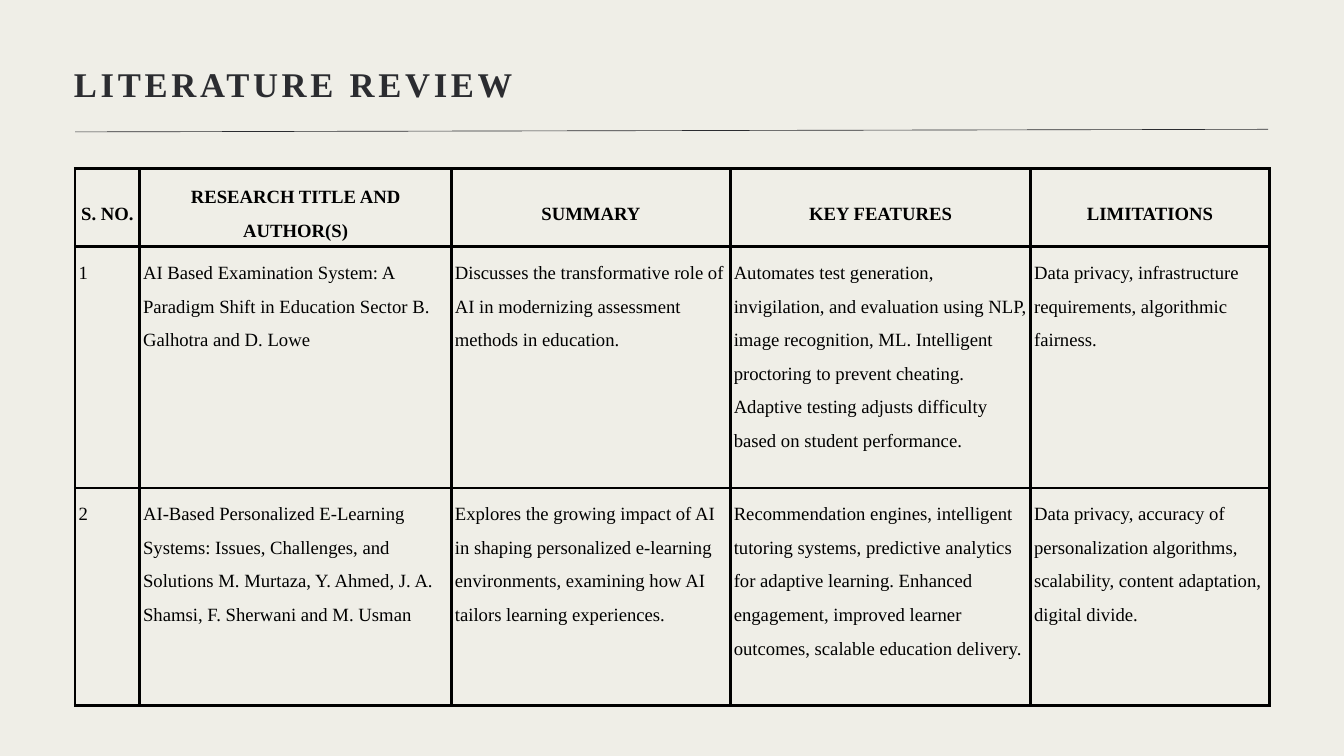
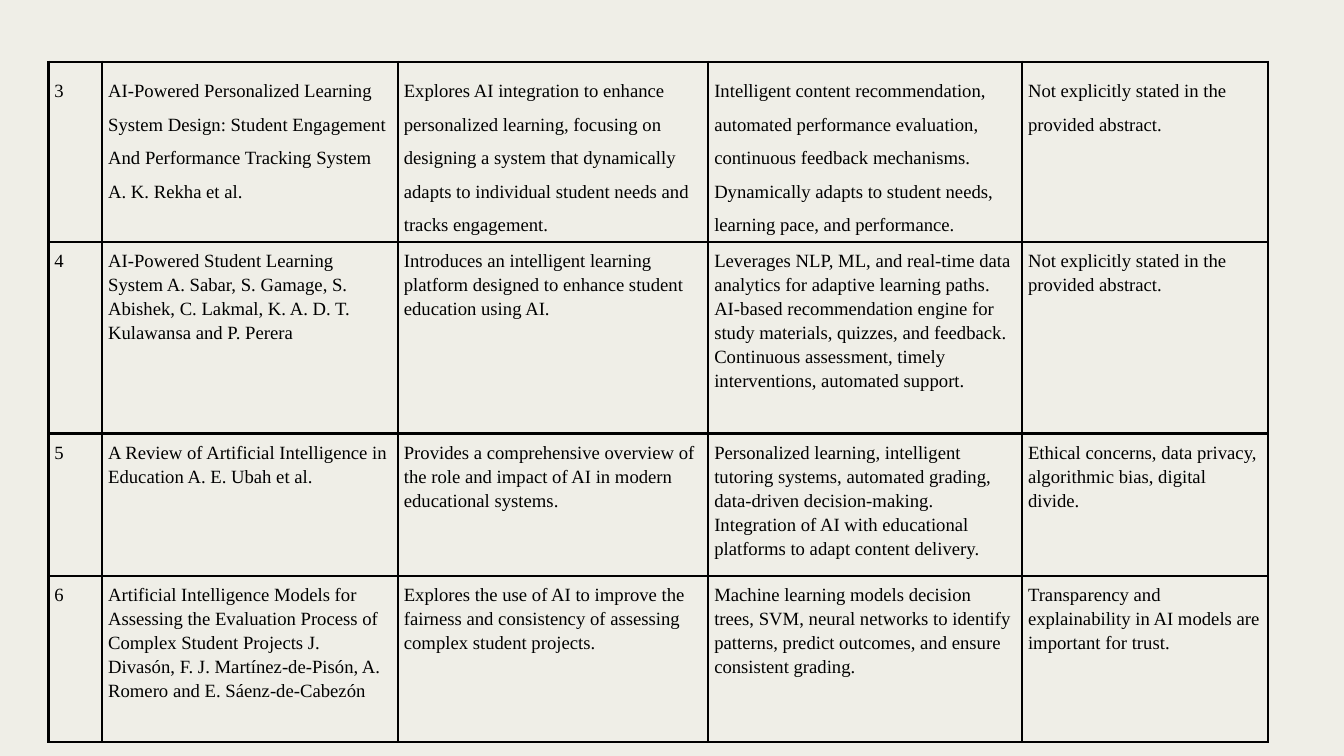
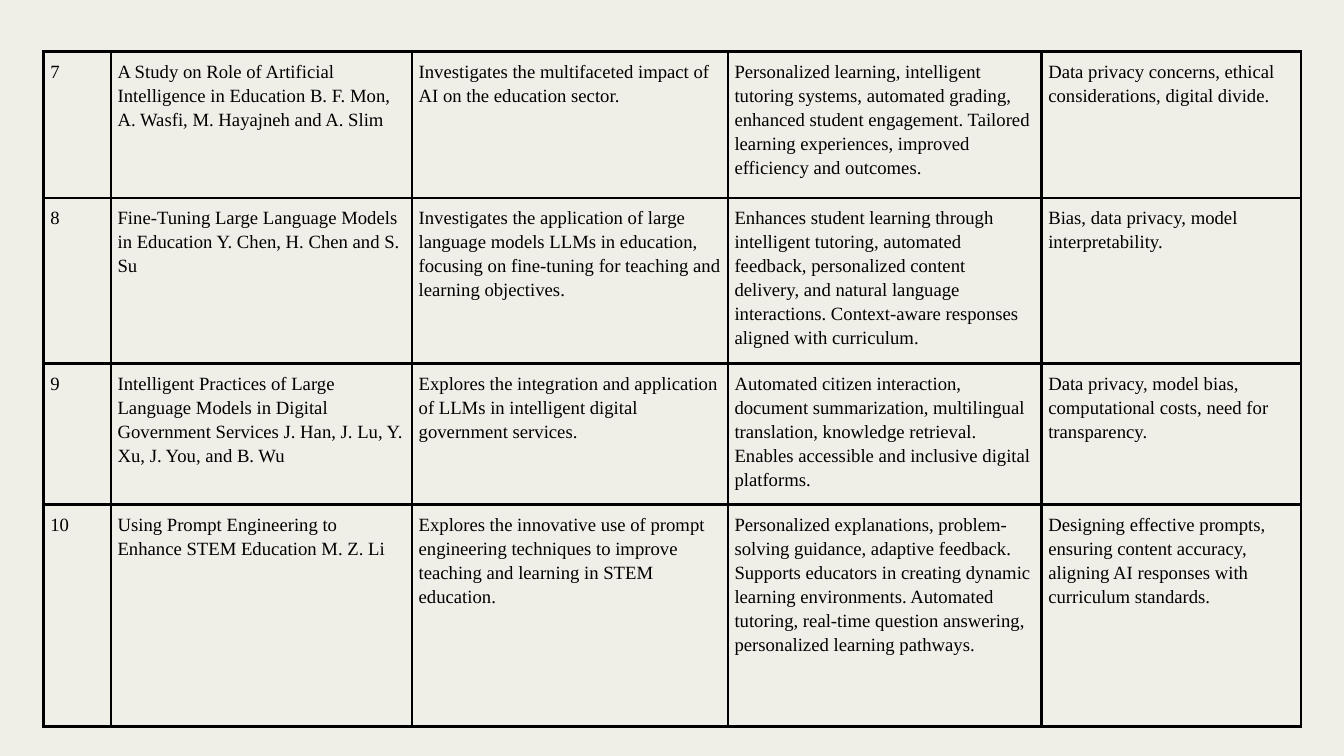
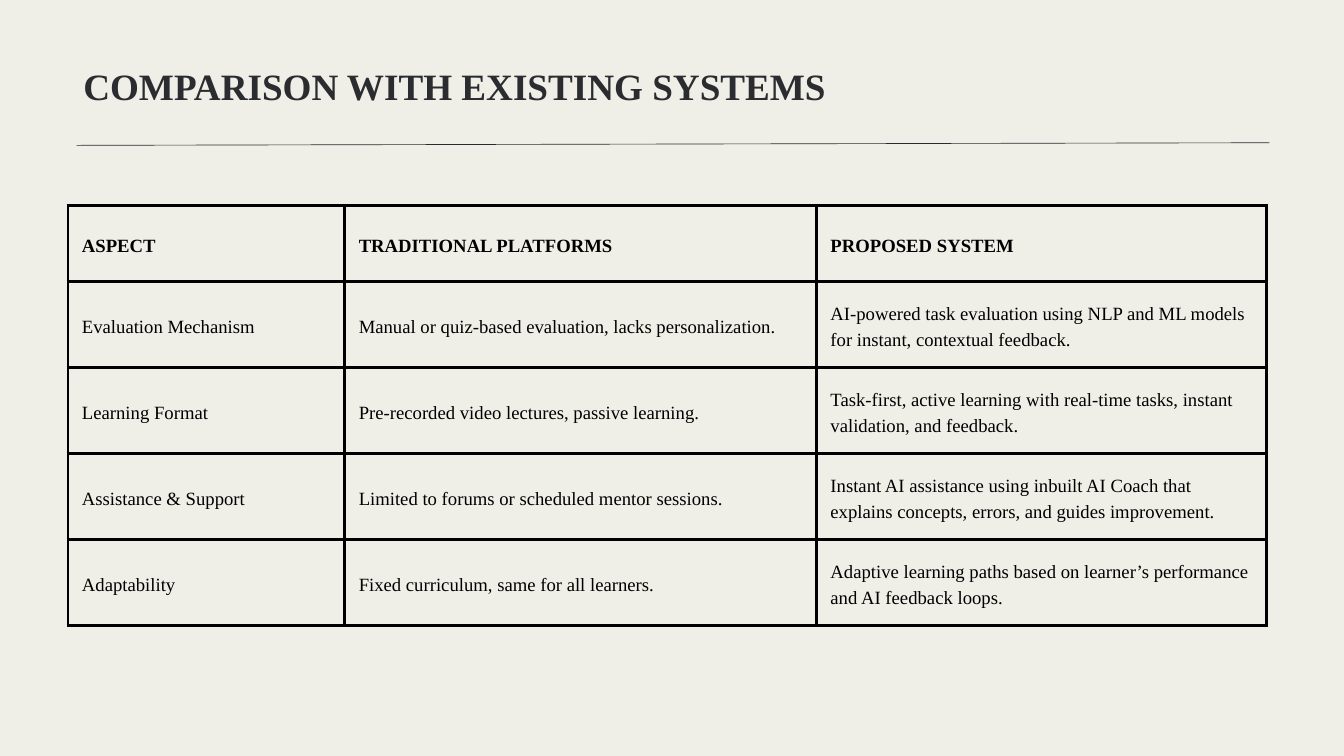
from dataclasses import dataclass
from typing import Any

from lxml.etree import SubElement
from pptx import Presentation
from pptx.dml.color import RGBColor
from pptx.enum.text import MSO_ANCHOR, PP_ALIGN
from pptx.oxml.ns import qn
from pptx.util import Pt

COLORS = {"page": "EFEEE7", "title": "2B2C30", "grid": "000000"}
FONT = "Times New Roman"
SIDES = ("margin_left", "margin_top", "margin_right", "margin_bottom")
EDGES = ("a:lnL", "a:lnR", "a:lnT", "a:lnB")


@dataclass(frozen=True)
class Title:
    text: str
    size: float
    lead: float
    height: float
    rule_x: float
    rule_y: float
    indent: float = 0
    track: int = 0
    align: PP_ALIGN = PP_ALIGN.LEFT


@dataclass(frozen=True)
class Grid:
    left: float
    top: float
    cols: tuple[float, ...]
    rows: tuple[float, ...]
    inset: float
    leads: tuple[float, ...]
    cells: tuple[tuple[str, ...], ...]
    head: bool = False
    head_align: PP_ALIGN = PP_ALIGN.LEFT
    anchor: MSO_ANCHOR = MSO_ANCHOR.TOP


@dataclass(frozen=True)
class Page:
    grid: Grid
    title: Title | None = None


REVIEW = Title("LITERATURE REVIEW", 37.1, 52, 65.5, 80.6, 138.2, track=400)
COMPARE = Title("COMPARISON WITH EXISTING SYSTEMS", 39.8, 55.7, 69.8, 82.1, 152.6,
                indent=10, align=PP_ALIGN.JUSTIFY)

PAGES = (
    Page(Grid(
        80.6, 180.7, (69.1, 334.1, 298.8, 321.8, 255.6), (83.5, 258.5, 233.3),
        3.6, (36, 36, 36),
        (
            ("S. NO.", "RESEARCH TITLE AND AUTHOR(S)", "SUMMARY", "KEY FEATURES", "LIMITATIONS"),
            ("1",
             "AI Based Examination System: A Paradigm Shift in Education Sector B. Galhotra and D. Lowe",
             "Discusses the transformative role of AI in modernizing assessment methods in education.",
             "Automates test generation, invigilation, and evaluation using NLP, image recognition, ML. "
             "Intelligent proctoring to prevent cheating. Adaptive testing adjusts difficulty based on "
             "student performance.",
             "Data privacy, infrastructure requirements, algorithmic fairness."),
            ("2",
             "AI-Based Personalized E-Learning Systems: Issues, Challenges, and Solutions "
             "M. Murtaza, Y. Ahmed, J. A. Shamsi, F. Sherwani and M. Usman",
             "Explores the growing impact of AI in shaping personalized e-learning environments, "
             "examining how AI tailors learning experiences.",
             "Recommendation engines, intelligent tutoring systems, predictive analytics for adaptive "
             "learning. Enhanced engagement, improved learner outcomes, scalable education delivery.",
             "Data privacy, accuracy of personalization algorithms, scalability, content adaptation, "
             "digital divide."),
        ),
        head=True, head_align=PP_ALIGN.CENTER), REVIEW),
    Page(Grid(
        51.8, 66.2, (57.6, 316.8, 332.6, 336.2, 263.5), (192.2, 205.2, 152.6, 177.8),
        6.5, (36, 25.7, 25.7, 25.7),
        (
            ("3",
             "AI-Powered Personalized Learning System Design: Student Engagement And Performance "
             "Tracking System A. K. Rekha et al.",
             "Explores AI integration to enhance personalized learning, focusing on designing a system "
             "that dynamically adapts to individual student needs and tracks engagement.",
             "Intelligent content recommendation, automated performance evaluation, continuous feedback "
             "mechanisms. Dynamically adapts to student needs, learning pace, and performance.",
             "Not explicitly stated in the provided abstract."),
            ("4",
             "AI-Powered Student Learning System A. Sabar, S. Gamage, S. Abishek, C. Lakmal, "
             "K. A. D. T. Kulawansa and P. Perera",
             "Introduces an intelligent learning platform designed to enhance student education using AI.",
             "Leverages NLP, ML, and real-time data analytics for adaptive learning paths. AI-based "
             "recommendation engine for study materials, quizzes, and feedback. Continuous assessment, "
             "timely interventions, automated support.",
             "Not explicitly stated in the provided abstract."),
            ("5",
             "A Review of Artificial Intelligence in Education A. E. Ubah et al.",
             "Provides a comprehensive overview of the role and impact of AI in modern educational systems.",
             "Personalized learning, intelligent tutoring systems, automated grading, data-driven "
             "decision-making. Integration of AI with educational platforms to adapt content delivery.",
             "Ethical concerns, data privacy, algorithmic bias, digital divide."),
            ("6",
             "Artificial Intelligence Models for Assessing the Evaluation Process of Complex Student "
             "Projects J. Divasón, F. J. Martínez-de-Pisón, A. Romero and E. Sáenz-de-Cabezón",
             "Explores the use of AI to improve the fairness and consistency of assessing complex "
             "student projects.",
             "Machine learning models decision trees, SVM, neural networks to identify patterns, "
             "predict outcomes, and ensure consistent grading.",
             "Transparency and explainability in AI models are important for trust."),
        ))),
    Page(Grid(
        46.8, 55.4, (72, 322.6, 338.4, 336.2, 277.9), (157, 177.1, 151.2, 237.6),
        7.2, (25.7,) * 4,
        (
            ("7",
             "A Study on Role of Artificial Intelligence in Education B. F. Mon, A. Wasfi, "
             "M. Hayajneh and A. Slim",
             "Investigates the multifaceted impact of AI on the education sector.",
             "Personalized learning, intelligent tutoring systems, automated grading, enhanced student "
             "engagement. Tailored learning experiences, improved efficiency and outcomes.",
             "Data privacy concerns, ethical considerations, digital divide."),
            ("8",
             "Fine-Tuning Large Language Models in Education Y. Chen, H. Chen and S. Su",
             "Investigates the application of large language models LLMs in education, focusing on "
             "fine-tuning for teaching and learning objectives.",
             "Enhances student learning through intelligent tutoring, automated feedback, personalized "
             "content delivery, and natural language interactions. Context-aware responses aligned "
             "with curriculum.",
             "Bias, data privacy, model interpretability."),
            ("9",
             "Intelligent Practices of Large Language Models in Digital Government Services "
             "J. Han, J. Lu, Y. Xu, J. You, and B. Wu",
             "Explores the integration and application of LLMs in intelligent digital government services.",
             "Automated citizen interaction, document summarization, multilingual translation, knowledge "
             "retrieval. Enables accessible and inclusive digital platforms.",
             "Data privacy, model bias, computational costs, need for transparency."),
            ("10",
             "Using Prompt Engineering to Enhance STEM Education M. Z. Li",
             "Explores the innovative use of prompt engineering techniques to improve teaching and "
             "learning in STEM education.",
             "Personalized explanations, problem-solving guidance, adaptive feedback. Supports educators "
             "in creating dynamic learning environments. Automated tutoring, real-time question "
             "answering, personalized learning pathways.",
             "Designing effective prompts, ensuring content accuracy, aligning AI responses with "
             "curriculum standards."),
        ))),
    Page(Grid(
        72.7, 220.3, (296.6, 505.4, 482.4), (81.4,) + (92.2,) * 4,
        15.1, (28,) * 5,
        (
            ("ASPECT", "TRADITIONAL PLATFORMS", "PROPOSED SYSTEM"),
            ("Evaluation Mechanism",
             "Manual or quiz-based evaluation, lacks personalization.",
             "AI-powered task evaluation using NLP and ML models for instant, contextual feedback."),
            ("Learning Format",
             "Pre-recorded video lectures, passive learning.",
             "Task-first, active learning with real-time tasks, instant validation, and feedback."),
            ("Assistance & Support",
             "Limited to forums or scheduled mentor sessions.",
             "Instant AI assistance using inbuilt AI Coach that explains concepts, errors, and guides "
             "improvement."),
            ("Adaptability",
             "Fixed curriculum, same for all learners.",
             "Adaptive learning paths based on learner’s performance and AI feedback loops."),
        ),
        head=True, anchor=MSO_ANCHOR.MIDDLE), COMPARE),
)


def apply(target: Any, values: dict[str, Any]) -> None:
    for name, value in values.items():
        setattr(target, name, value)


def paint(fill: Any, color: str) -> None:
    fill.solid()
    fill.fore_color.rgb = RGBColor.from_string(COLORS[color])


def write(frame: Any, text: str, size: float, color: str, bold: bool,
          lead: float, align: PP_ALIGN) -> Any:
    para = frame.paragraphs[0]
    apply(para, {"line_spacing": Pt(lead), "alignment": align})
    run = para.add_run()
    run.text = text
    apply(run.font, {"name": FONT, "size": Pt(size), "bold": bold})
    run.font.color.rgb = RGBColor.from_string(COLORS[color])
    return run


def draw_rule(slide: Any, left: float, top: float) -> None:
    right = left + 1278
    ends = ((right, top), (right, top + 0.7), (left, top + 3.5))
    pen = slide.shapes.build_freeform(Pt(left), Pt(top + 2.8))
    pen.add_line_segments([(Pt(x), Pt(y)) for x, y in ends], close=True)
    rule = pen.convert_to_shape()
    rule.shadow.inherit = False
    paint(rule.fill, "title")
    rule.line.fill.background()


def draw_title(slide: Any, title: Title) -> None:
    box = slide.shapes.add_textbox(Pt(79.2), Pt(59.8), Pt(1278), Pt(title.height))
    frame = box.text_frame
    apply(frame, {"word_wrap": True, **dict.fromkeys(SIDES, 0)})
    frame.margin_left = Pt(title.indent)
    run = write(frame, title.text, title.size, "title", True, title.lead, title.align)
    if title.track:
        run._r.get_or_add_rPr().set("spc", str(title.track))


def add_edges(cell: Any) -> None:
    props = cell._tc.get_or_add_tcPr()
    for spot, tag in enumerate(EDGES):
        edge = SubElement(props, qn(tag), w=str(Pt(3)))
        fill = SubElement(edge, qn("a:solidFill"))
        SubElement(fill, qn("a:srgbClr"), val=COLORS["grid"])
        props.insert(spot, edge)


def draw_grid(slide: Any, grid: Grid) -> None:
    frame = slide.shapes.add_table(
        len(grid.rows), len(grid.cols), Pt(grid.left), Pt(grid.top),
        Pt(sum(grid.cols)), Pt(sum(grid.rows)))
    table = frame.table
    apply(table, {"first_row": False, "horz_banding": False})
    for col, width in zip(table.columns, grid.cols):
        col.width = Pt(width)
    for row, height in zip(table.rows, grid.rows):
        row.height = Pt(height)
    for r, (texts, lead) in enumerate(zip(grid.cells, grid.leads)):
        head = grid.head and r == 0
        align = grid.head_align if head else PP_ALIGN.LEFT
        anchor = MSO_ANCHOR.MIDDLE if head else grid.anchor
        for c, text in enumerate(texts):
            cell = table.cell(r, c)
            apply(cell, {"vertical_anchor": anchor, **dict.fromkeys(SIDES, Pt(grid.inset))})
            cell.fill.background()
            add_edges(cell)
            write(cell.text_frame, text, 20, "grid", head, lead, align)


def main() -> None:
    deck = Presentation()
    apply(deck, {"slide_width": Pt(1440), "slide_height": Pt(810)})
    for page in PAGES:
        slide = deck.slides.add_slide(deck.slide_layouts[6])
        paint(slide.background.fill, "page")
        if page.title:
            draw_rule(slide, page.title.rule_x, page.title.rule_y)
        draw_grid(slide, page.grid)
        if page.title:
            draw_title(slide, page.title)
    deck.save("out.pptx")


if __name__ == "__main__":
    main()
